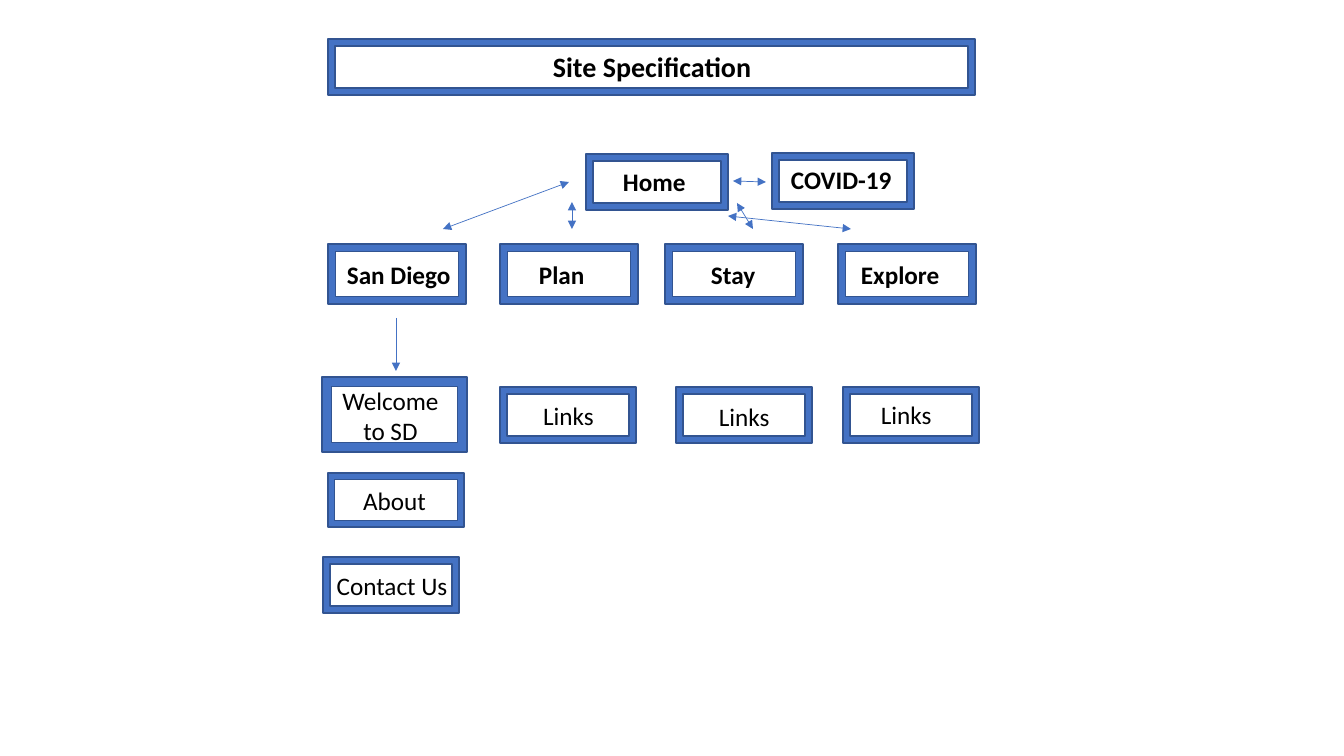
from dataclasses import dataclass

import pptx
import pptx.dml.color
import pptx.enum.shapes
import pptx.enum.text
import pptx.oxml
import pptx.oxml.ns
import pptx.slide
import pptx.util

EMU_PER_PIXEL = 914400 / 100.8
FRAME_BLUE = "4472C4"
BORDER_BLUE = "325491"
TEXT_BLACK = "000000"


@dataclass(frozen=True)
class Area:
    """A rectangle in pixels."""
    left: int
    top: int
    width: int
    height: int = 40


@dataclass(frozen=True)
class Page:
    """A framed entry of the site map with its label."""
    text: str
    frame: Area
    label: Area
    bold: bool = False
    centred: bool = False
    wrap: bool = True
    size: int = 18


@dataclass(frozen=True)
class Arrow:
    """A line with an arrowhead at its end, and by default at its start."""
    start: tuple[int, int]
    end: tuple[int, int]
    two_way: bool = True


SECTIONS = [
    Page(text, Area(left, 244, 138, 60), Area(label_left, 254, label_width), bold=True)
    for text, left, label_left, label_width in (
        ("San Diego", 328, 337, 136),
        ("Plan", 500, 529, 84),
        ("Stay", 665, 701, 74),
        ("Explore", 838, 851, 111),
    )
]
LINKS = [
    Page("Links", Area(left, 387, 136, 56), label, centred=centred, wrap=centred)
    for left, label, centred in (
        (500, Area(503, 395, 131), True),
        (676, Area(709, 396, 72), False),
        (843, Area(871, 394, 72), False),
    )
]
PAGES = [
    Page("Site Specification", Area(328, 39, 647, 56), Area(357, 45, 590, 44),
         bold=True, centred=True, size=20),
    Page("Home", Area(586, 154, 142, 56), Area(613, 161, 87), bold=True),
    Page("COVID-19", Area(772, 153, 142, 56), Area(781, 159, 138), bold=True),
    *SECTIONS,
    Page("Welcome to SD", Area(322, 377, 145, 75), Area(328, 380, 125, 72), centred=True),
    Page("About", Area(328, 473, 136, 54), Area(319, 480, 151), centred=True),
    Page("Contact Us", Area(323, 557, 136, 56), Area(325, 565, 134), centred=True),
    *LINKS,
]
ARROWS = [
    Arrow((569, 182), (443, 229)),
    Arrow((572, 202), (572, 229)),
    Arrow((737, 203), (753, 229)),
    Arrow((728, 216), (851, 229)),
    Arrow((733, 181), (766, 182)),
    Arrow((396, 318), (396, 371), two_way=False),
]


def px(*lengths: int) -> list[pptx.util.Emu]:
    """Turn pixel lengths into EMU."""
    return [pptx.util.Emu(round(length * EMU_PER_PIXEL)) for length in lengths]


def bounds(area: Area) -> list[pptx.util.Emu]:
    """Give left, top, width and height of an area in EMU."""
    return px(area.left, area.top, area.width, area.height)


def colour(value: str) -> pptx.dml.color.RGBColor:
    """Turn a hex string into a colour."""
    return pptx.dml.color.RGBColor.from_string(value)


def add_page(slide: pptx.slide.Slide, page: Page) -> None:
    """Draw the frame of a page and put its label on it."""
    frame = slide.shapes.add_shape(
        pptx.enum.shapes.MSO_SHAPE.FRAME, *bounds(page.frame))
    frame.shadow.inherit = False
    frame.fill.solid()
    frame.fill.fore_color.rgb = colour(FRAME_BLUE)
    frame.line.color.rgb = colour(BORDER_BLUE)
    frame.line.width = pptx.util.Pt(1)

    text_frame = slide.shapes.add_textbox(*bounds(page.label)).text_frame
    text_frame.text = page.text
    text_frame.word_wrap = page.wrap
    text_frame.auto_size = pptx.enum.text.MSO_AUTO_SIZE.SHAPE_TO_FIT_TEXT
    paragraph = text_frame.paragraphs[0]
    alignments = pptx.enum.text.PP_ALIGN
    paragraph.alignment = alignments.CENTER if page.centred else alignments.LEFT
    font = paragraph.runs[0].font
    font.name = "Calibri"
    font.size = pptx.util.Pt(page.size)
    font.bold = page.bold
    font.color.rgb = colour(TEXT_BLACK)


def add_arrow(slide: pptx.slide.Slide, arrow: Arrow) -> None:
    """Draw a thin line with triangular arrowheads."""
    connector = slide.shapes.add_connector(
        pptx.enum.shapes.MSO_CONNECTOR.STRAIGHT, *px(*arrow.start, *arrow.end))
    connector.line.color.rgb = colour(FRAME_BLUE)
    connector.line.width = pptx.util.Pt(0.5)
    line = connector.line._get_or_add_ln()
    for tag in ("a:headEnd", "a:tailEnd") if arrow.two_way else ("a:tailEnd",):
        end = pptx.oxml.parse_xml(f"<{tag} {pptx.oxml.ns.nsdecls('a')} type='triangle'/>")
        line.append(end)
    connector._element.spPr.append(
        pptx.oxml.parse_xml(f"<a:effectLst {pptx.oxml.ns.nsdecls('a')}/>"))


def main() -> None:
    """Build the site map slide and save it."""
    presentation = pptx.Presentation()
    presentation.slide_width, presentation.slide_height = px(1344, 756)
    slide = presentation.slides.add_slide(presentation.slide_layouts[6])
    for page in PAGES:
        add_page(slide, page)
    for arrow in ARROWS:
        add_arrow(slide, arrow)
    presentation.save("out.pptx")


main()
